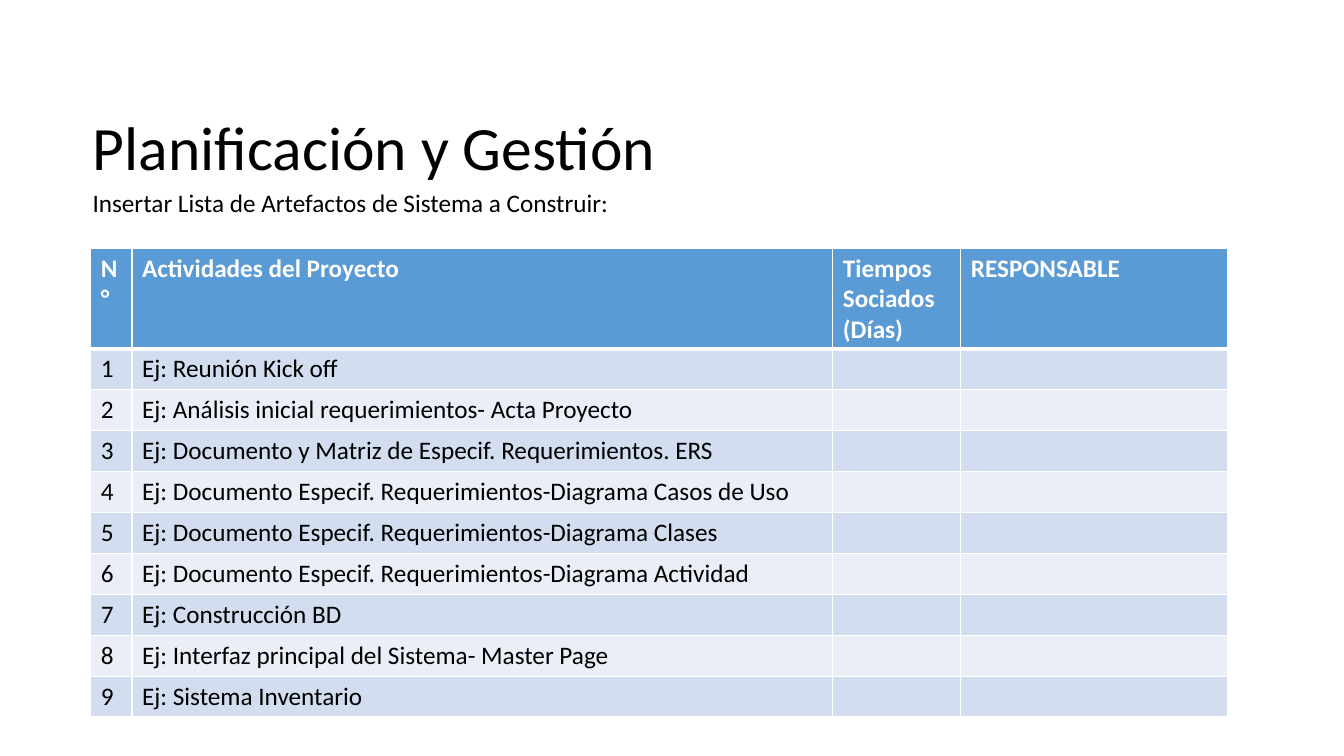
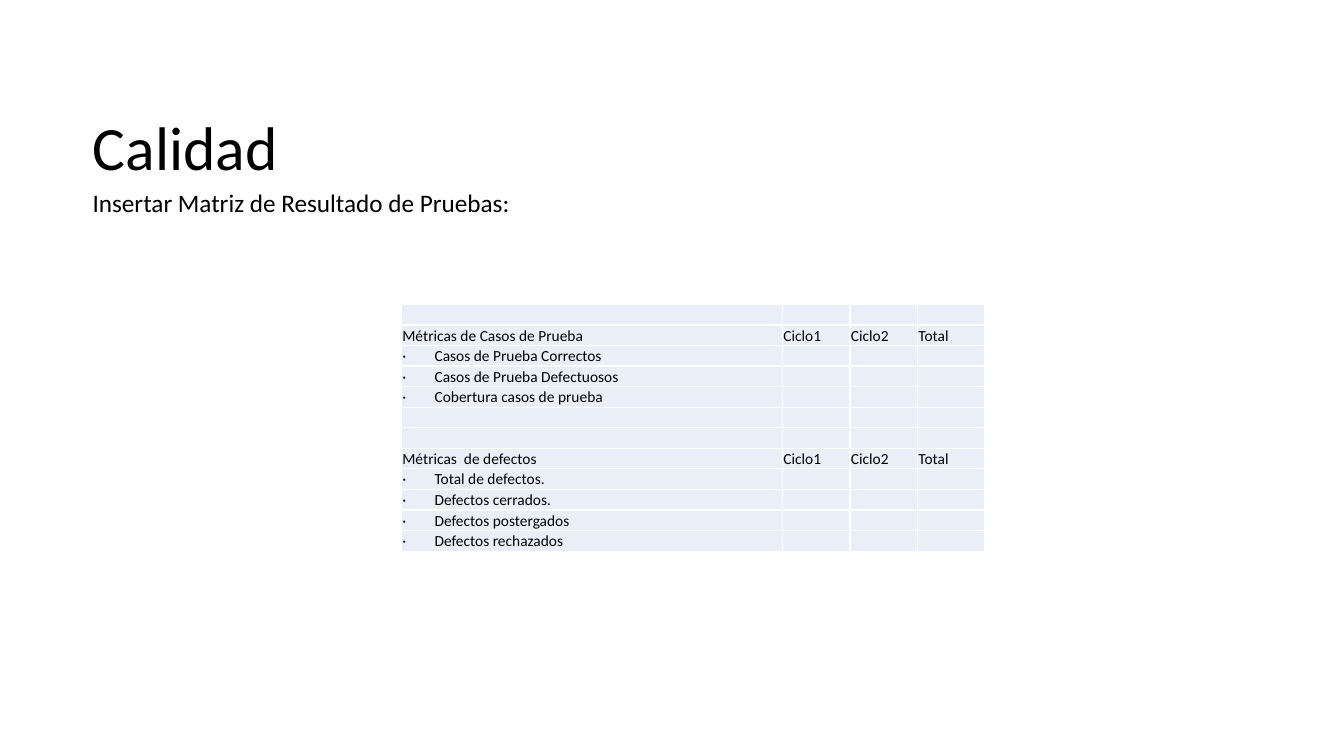
from dataclasses import dataclass

from lxml.etree import SubElement
from pptx import Presentation
from pptx.dml.color import RGBColor
from pptx.enum.text import MSO_ANCHOR, MSO_AUTO_SIZE, PP_ALIGN
from pptx.oxml.ns import qn
from pptx.util import Inches, Pt


# Colours, type sizes and font
@dataclass(frozen=True)
class Theme:
    font: str = "Calibri"
    text: str = "000000"
    white: str = "FFFFFF"
    header: str = "5B9BD5"
    band_dark: str = "D2DEEF"
    band_light: str = "EAEFF7"
    title_size: int = 44
    body_size: int = 18
    small_size: int = 11
    thin_line: int = 1
    thick_line: int = 3


THEME = Theme()


def apply_format(target, values):
    for name, value in values.items():
        setattr(target, name, value)


class SlideBuilder:
    """Holds the deck, its style and the current slide."""

    def __init__(self, theme):
        self.theme = theme
        self.deck = Presentation()
        apply_format(self.deck, {"slide_width": Inches(13.33),
                                 "slide_height": Inches(7.5)})
        self.page = None

    def add_page(self, title, subtitle):
        self.page = self.deck.slides.add_slide(self.deck.slide_layouts[5])
        self.title(title)
        self.subtitle(subtitle)

    def add_text(self, para, text, size, color=None, bold=False):
        span = para.add_run()
        span.text = text
        apply_format(span.font, {"name": self.theme.font, "size": Pt(size), "bold": bold})
        span.font.color.rgb = RGBColor.from_string(color or self.theme.text)

    def title(self, text):
        box = self.page.shapes.title
        apply_format(box, {"left": Inches(0.82), "top": Inches(0.77),
                           "width": Inches(11.5), "height": Inches(1.45)})
        apply_format(box.text_frame, {"vertical_anchor": MSO_ANCHOR.MIDDLE,
                                      "auto_size": MSO_AUTO_SIZE.NONE})
        para = box.text_frame.paragraphs[0]
        apply_format(para, {"alignment": PP_ALIGN.LEFT, "line_spacing": 0.9})
        self.add_text(para, text, self.theme.title_size)

    def subtitle(self, text):
        box = self.page.shapes.add_textbox(Inches(0.82), Inches(1.81),
                                           Inches(5.37), Inches(0.4))
        apply_format(box.text_frame, {"word_wrap": False,
                                      "auto_size": MSO_AUTO_SIZE.SHAPE_TO_FIT_TEXT})
        self.add_text(box.text_frame.paragraphs[0], text, self.theme.body_size)

    def table(self, left, top, height, widths, row_count, has_header):
        frame = self.page.shapes.add_table(row_count, len(widths), Inches(left), Inches(top),
                                           Inches(sum(widths)), Inches(height))
        apply_format(frame.table, {"first_row": has_header, "horz_banding": False})
        for column, width in zip(frame.table.columns, widths):
            column.width = Inches(width)
        return frame.table

    def cell(self, cell, text, size, fill, color=None, bold=False,
             top_line=None, bottom_line=None, layout=None):
        thin = self.theme.thin_line
        apply_format(cell, layout or {})
        self.borders(cell, {"L": thin, "R": thin, "T": top_line or thin,
                            "B": bottom_line or thin})
        cell.fill.solid()
        cell.fill.fore_color.rgb = RGBColor.from_string(fill)
        para = cell.text_frame.paragraphs[0]
        if text:
            self.add_text(para, text, size, color, bold)
        else:  # keeps an empty row as low as its neighbours
            SubElement(para._p, qn("a:endParaRPr"), sz=str(size * 100))
        return para

    def borders(self, cell, lines):
        properties = cell._tc.get_or_add_tcPr()
        for side, width in lines.items():
            line = SubElement(properties, qn(f"a:ln{side}"), w=str(Pt(width)))
            solid = SubElement(line, qn("a:solidFill"))
            SubElement(solid, qn("a:srgbClr"), val=self.theme.white)

    def bullet(self, para, indent):
        para.alignment = PP_ALIGN.JUSTIFY
        properties = para._p.get_or_add_pPr()
        properties.set("marL", str(Inches(indent)))
        properties.set("indent", str(-Inches(indent)))
        SubElement(properties, qn("a:buFont"), typeface=self.theme.font)
        SubElement(properties, qn("a:buChar"), char="·")

    def activity_table(self, headings, activities):
        theme = self.theme
        table = self.table(0.9, 2.46, 4.06, [0.41, 6.95, 1.27, 2.65],
                           len(activities) + 1, True)
        for column, heading in enumerate(headings):
            self.cell(table.cell(0, column), heading, theme.body_size, theme.header,
                      theme.white, bold=True, bottom_line=theme.thick_line)
        for row, activity in enumerate(activities, 1):
            fill = theme.band_dark if row % 2 else theme.band_light
            top_line = theme.thick_line if row == 1 else None
            for column, text in enumerate([str(row), f"Ej: {activity}", "", ""]):
                self.cell(table.cell(row, column), text, theme.body_size, fill,
                          top_line=top_line)

    def metrics_table(self, rows):
        theme = self.theme
        table = self.table(3.98, 3.02, 2.45, [3.78, 0.67, 0.67, 0.67], len(rows), False)
        margins = {"margin_left": Inches(0.01), "margin_right": Inches(0.01),
                   "margin_top": Inches(0.01), "margin_bottom": 0}
        for row, texts in enumerate(rows):
            is_item = len(texts) == 1
            anchor = MSO_ANCHOR.MIDDLE if is_item else MSO_ANCHOR.BOTTOM
            for column in range(4):
                text = texts[column] if column < len(texts) else ""
                para = self.cell(table.cell(row, column), text, theme.small_size,
                                 theme.band_light,
                                 layout={**margins, "vertical_anchor": anchor})
                if is_item and column == 0:
                    self.bullet(para, 0.32)


builder = SlideBuilder(THEME)

# Planning: project activities
builder.add_page("Planificación y Gestión",
                 "Insertar Lista de Artefactos de Sistema a Construir:")
builder.activity_table(
    ["N°", "Actividades del Proyecto", "Tiempos Sociados (Días)", "RESPONSABLE"],
    ["Reunión Kick off ",
     "Análisis inicial requerimientos- Acta Proyecto",
     "Documento y Matriz de Especif. Requerimientos. ERS",
     "Documento Especif. Requerimientos-Diagrama Casos de Uso",
     "Documento Especif. Requerimientos-Diagrama Clases",
     "Documento Especif. Requerimientos-Diagrama Actividad",
     "Construcción BD",
     "Interfaz principal del Sistema- Master Page",
     "Sistema Inventario"])

# Quality: test results, with one-text rows as bulleted items
CYCLES = ["Ciclo1", "Ciclo2", "Total"]
builder.add_page("Calidad", "Insertar Matriz de Resultado de Pruebas:")
builder.metrics_table([
    [],
    ["Métricas de Casos de Prueba", *CYCLES],
    ["Casos de Prueba Correctos"],
    ["Casos de Prueba Defectuosos"],
    ["Cobertura casos de prueba"],
    [],
    [],
    ["Métricas  de defectos", *CYCLES],
    ["Total de defectos."],
    ["Defectos cerrados."],
    ["Defectos postergados"],
    ["Defectos rechazados"],
])

builder.deck.save("out.pptx")
